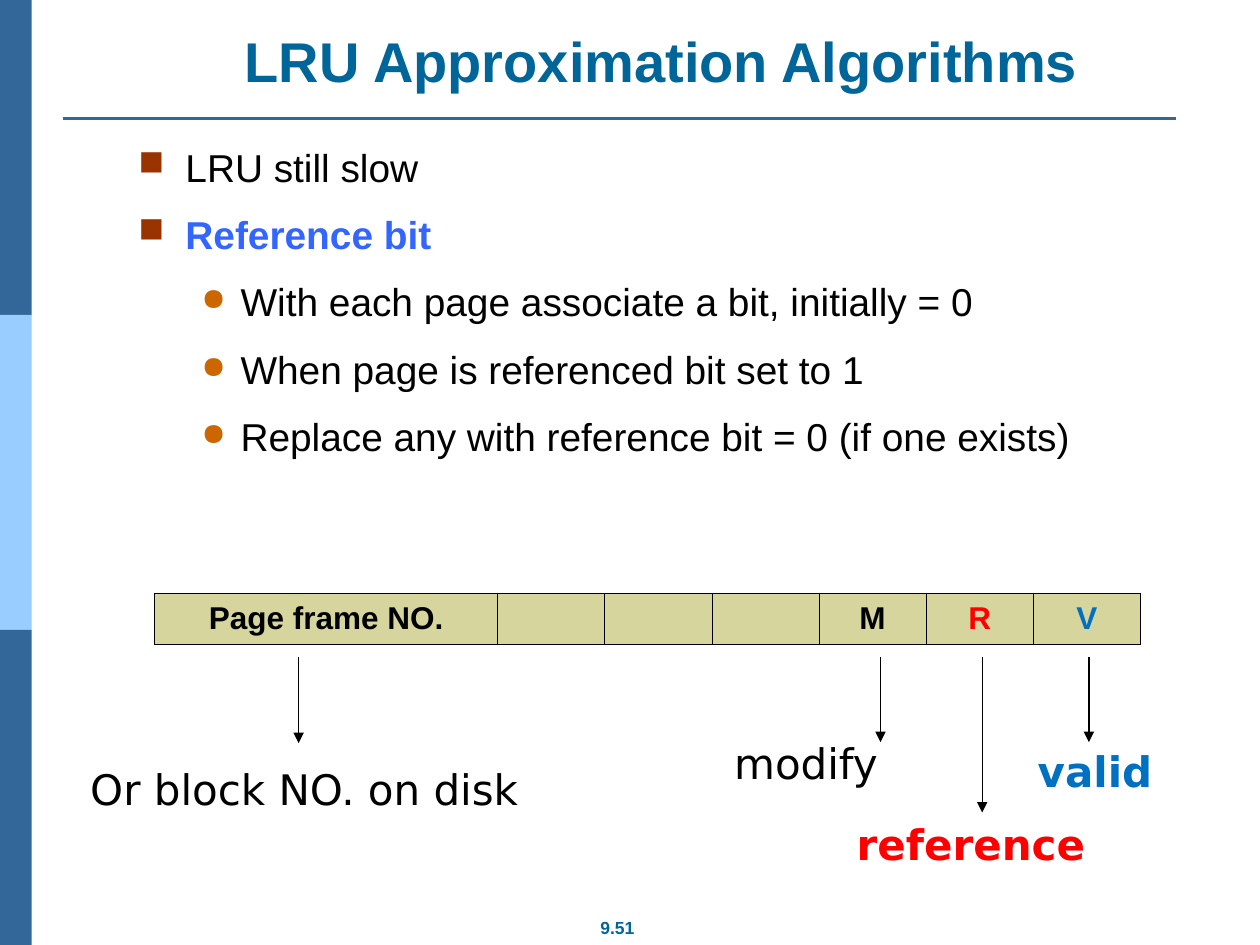
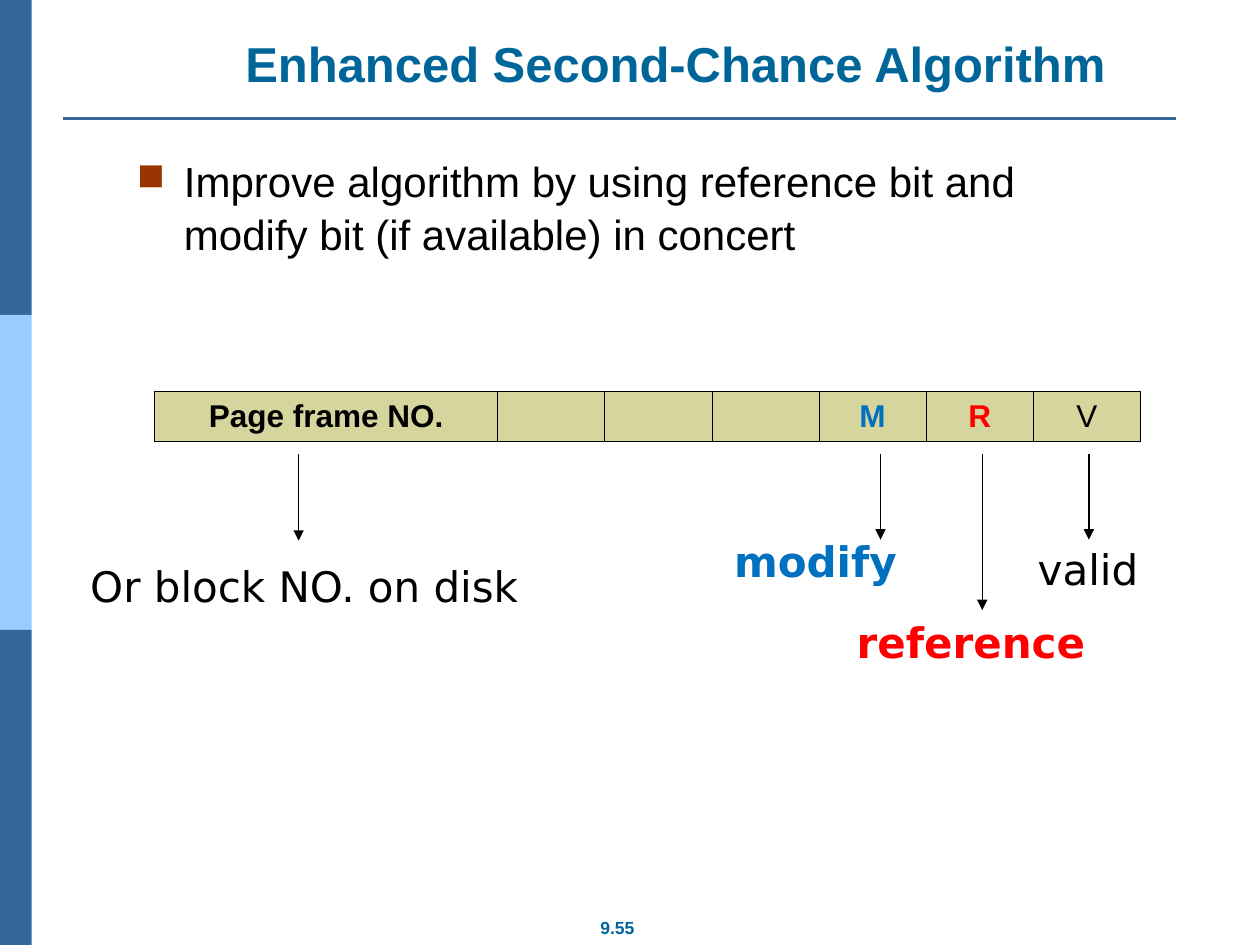
import pptx
import pptx.dml.color
import pptx.enum.shapes
import pptx.enum.text
import pptx.oxml
import pptx.oxml.ns
import pptx.util
from lxml import etree

Cm = pptx.util.Cm
Pt = pptx.util.Pt
RGBColor = pptx.dml.color.RGBColor
qn = pptx.oxml.ns.qn
ALIGN = pptx.enum.text.PP_ALIGN
ANCHOR = pptx.enum.text.MSO_ANCHOR

BLACK = RGBColor(0x00, 0x00, 0x00)
RED = RGBColor(0xFF, 0x00, 0x00)
BLUE = RGBColor(0x00, 0x70, 0xC0)
TERM_BLUE = RGBColor(0x33, 0x66, 0xFF)
TITLE_BLUE = RGBColor(0x00, 0x66, 0x99)
BAND_DARK = RGBColor(0x33, 0x66, 0x99)
BAND_LIGHT = RGBColor(0x99, 0xCC, 0xFF)
CELL_FILL = RGBColor(0xD5, 0xD5, 0x9D)
SQUARE_BROWN = RGBColor(0x99, 0x33, 0x00)
DOT_ORANGE = RGBColor(0xCC, 0x66, 0x00)

BODY_FONT = "Arial"
LABEL_FONT = "DejaVu Sans"
SLIDE_W, SLIDE_H = 25.4, 19.05
BAND_W = 0.64
ENTRY_X = 3.12
FRAME_COL_W, BIT_COL_W, ENTRY_H = 6.91, 2.16, 1.02

BULLETS = [
    dict(char="■", color=SQUARE_BROWN, percent=90, margin=0.95, hang=0.95),
    dict(char="●", color=DOT_ORANGE, percent=80, margin=2.06, hang=0.79),
]


def write(p, text, size=24, font=BODY_FONT, color=BLACK, bold=False, align=None):
    p.alignment = align
    r = p.add_run()
    r.text = text
    r.font.size = Pt(size)
    r.font.name = font
    r.font.color.rgb = color
    r.font.bold = bold


def add_box(s, x, y, w, h, wrap=True, anchor=ANCHOR.TOP):
    tf = s.shapes.add_textbox(Cm(x), Cm(y), Cm(w), Cm(h)).text_frame
    tf.word_wrap = wrap
    tf.vertical_anchor = anchor
    return tf


def add_line(s, x1, y1, x2, y2, color=BLACK, width=0.75, arrow=False):
    line = s.shapes.add_connector(
        pptx.enum.shapes.MSO_CONNECTOR.STRAIGHT, Cm(x1), Cm(y1), Cm(x2), Cm(y2))
    line.line.color.rgb = color
    line.line.width = Pt(width)
    if arrow:
        etree.SubElement(line.line._get_or_add_ln(), qn("a:tailEnd"), type="triangle")
    etree.SubElement(line._element.spPr, qn("a:effectLst"))


def add_bullet(p, char, color, percent, margin, hang):
    pPr = p._p.get_or_add_pPr()
    pPr.set("marL", str(Cm(margin)))
    pPr.set("indent", str(-Cm(hang)))
    clr = etree.SubElement(pPr, qn("a:buClr"))
    etree.SubElement(clr, qn("a:srgbClr"), val=str(color))
    etree.SubElement(pPr, qn("a:buSzPct"), val=str(percent * 1000))
    etree.SubElement(pPr, qn("a:buChar"), char=char)


def add_frame(s, number):
    band_h = SLIDE_H / 3
    for i, color in enumerate([BAND_DARK, BAND_LIGHT, BAND_DARK]):
        sp = s.shapes.add_shape(pptx.enum.shapes.MSO_SHAPE.RECTANGLE,
                                0, Cm(i * band_h), Cm(BAND_W), Cm(band_h))
        sp.shadow.inherit = False
        sp.fill.solid()
        sp.fill.fore_color.rgb = color
        sp.line.fill.background()
    add_line(s, 1.27, 2.39, 23.7, 2.39, BAND_DARK, 1.5)
    tf = add_box(s, 11.2, 18.36, 2.49, 0.69, wrap=False)
    write(tf.paragraphs[0], number, size=10, color=TITLE_BLUE, bold=True, align=ALIGN.CENTER)


def add_title(s, text, x, y, size):
    tf = add_box(s, x, y, 21.59, 1.6, anchor=ANCHOR.BOTTOM)
    write(tf.paragraphs[0], text, size=size, color=TITLE_BLUE, bold=True, align=ALIGN.CENTER)


def add_body(s, items, x, y, w, h, size):
    tf = add_box(s, x, y, w, h)
    for i, (level, text, style) in enumerate(items):
        p = tf.add_paragraph() if i else tf.paragraphs[0]
        p.level = level
        p.line_spacing = 1.05
        if i:
            p.space_before = Pt(10.5)
        add_bullet(p, **BULLETS[level])
        write(p, text, size=size, **style)


def add_borders(cell):
    tcPr = cell._tc.get_or_add_tcPr()
    for side in ("lnL", "lnR", "lnT", "lnB"):
        ln = etree.SubElement(tcPr, qn("a:" + side), w=str(Pt(0.45)))
        fill = etree.SubElement(ln, qn("a:solidFill"))
        etree.SubElement(fill, qn("a:srgbClr"), val=str(BLACK))


def add_entry_table(s, x, y, bits):
    cells = [("Page frame NO.", dict(bold=True)), None, None, None, *bits.items()]
    widths = [FRAME_COL_W] + [BIT_COL_W] * (len(cells) - 1)
    table = s.shapes.add_table(1, len(cells), Cm(x), Cm(y), Cm(sum(widths)), Cm(ENTRY_H)).table
    table.first_row = table.horz_banding = False
    for i, (width, content) in enumerate(zip(widths, cells)):
        table.columns[i].width = Cm(width)
        cell = table.cell(0, i)
        cell.vertical_anchor = ANCHOR.MIDDLE
        add_borders(cell)
        cell.fill.solid()
        cell.fill.fore_color.rgb = CELL_FILL
        if content:
            text, style = content
            write(cell.text_frame.paragraphs[0], text, size=18, align=ALIGN.CENTER, **style)


def add_page_entry(s, x, y, bits, labels):
    add_entry_table(s, x, y, bits)
    for dx, end in [(14.63, 3), (16.68, 4.42), (18.83, 3), (2.9, 3.02)]:
        add_line(s, x + dx, y + 1.28, x + dx, y + end, arrow=True)
    places = [
        ("Or block NO. on disk", -1.55, 3.3, 9.63),
        ("modify", 11.43, 2.79, 4.39),
        ("reference", 13.9, 4.42, 5.84),
        ("valid", 17.55, 2.95, 4.72),
    ]
    for text, dx, dy, w in places:
        tf = add_box(s, x + dx, y + dy, w, 1.27)
        write(tf.paragraphs[0], text, font=LABEL_FONT, **labels.get(text, {}))


def add_slide(prs, number, title, body, entry):
    s = prs.slides.add_slide(prs.slide_layouts[6])
    add_frame(s, number)
    add_title(s, **title)
    add_body(s, **body)
    add_page_entry(s, ENTRY_X, **entry)


def main():
    prs = pptx.Presentation()
    prs.slide_width, prs.slide_height = Cm(SLIDE_W), Cm(SLIDE_H)
    red, blue = dict(color=RED, bold=True), dict(color=BLUE, bold=True)

    add_slide(
        prs, "9.51",
        title=dict(text="LRU Approximation Algorithms", x=2.54, y=0.41, size=32),
        body=dict(x=2.54, y=2.72, w=20.47, h=7.62, size=22.2, items=[
            (0, "LRU still slow", {}),
            (0, "Reference bit", dict(color=TERM_BLUE, bold=True)),
            (1, "With each page associate a bit, initially = 0", {}),
            (1, "When page is referenced bit set to 1", {}),
            (1, "Replace any with reference bit = 0 (if one exists)", {}),
        ]),
        entry=dict(y=11.96, bits=dict(M=dict(bold=True), R=red, V=blue),
                   labels=dict(reference=red, valid=blue)))

    add_slide(
        prs, "9.55",
        title=dict(text="Enhanced Second-Chance Algorithm", x=2.82, y=0.38, size=28),
        body=dict(x=2.51, y=2.97, w=19.89, h=14.3, size=24, items=[
            (0, "Improve algorithm by using reference bit and "
                "modify bit (if available) in concert", {}),
        ]),
        entry=dict(y=7.88, bits=dict(M=blue, R=red, V={}),
                   labels=dict(modify=blue, reference=red)))

    prs.save("out.pptx")


if __name__ == "__main__":
    main()
